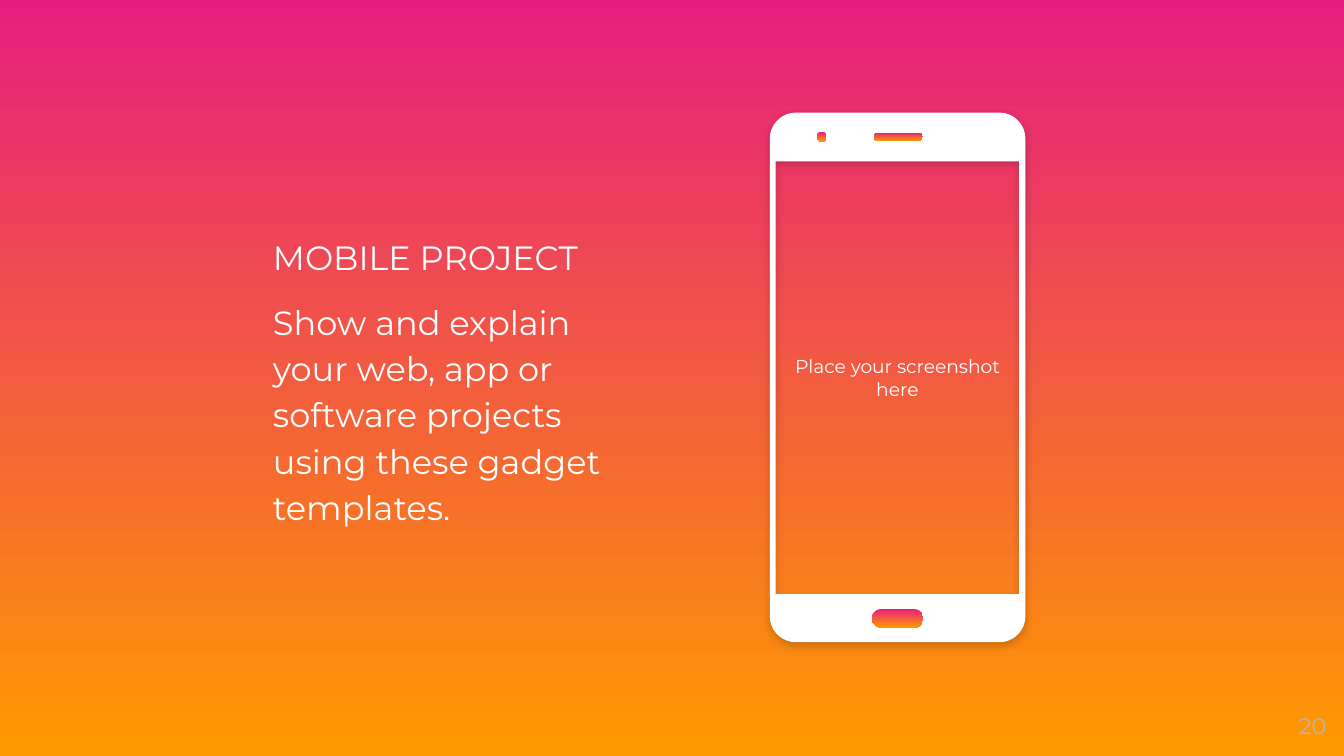
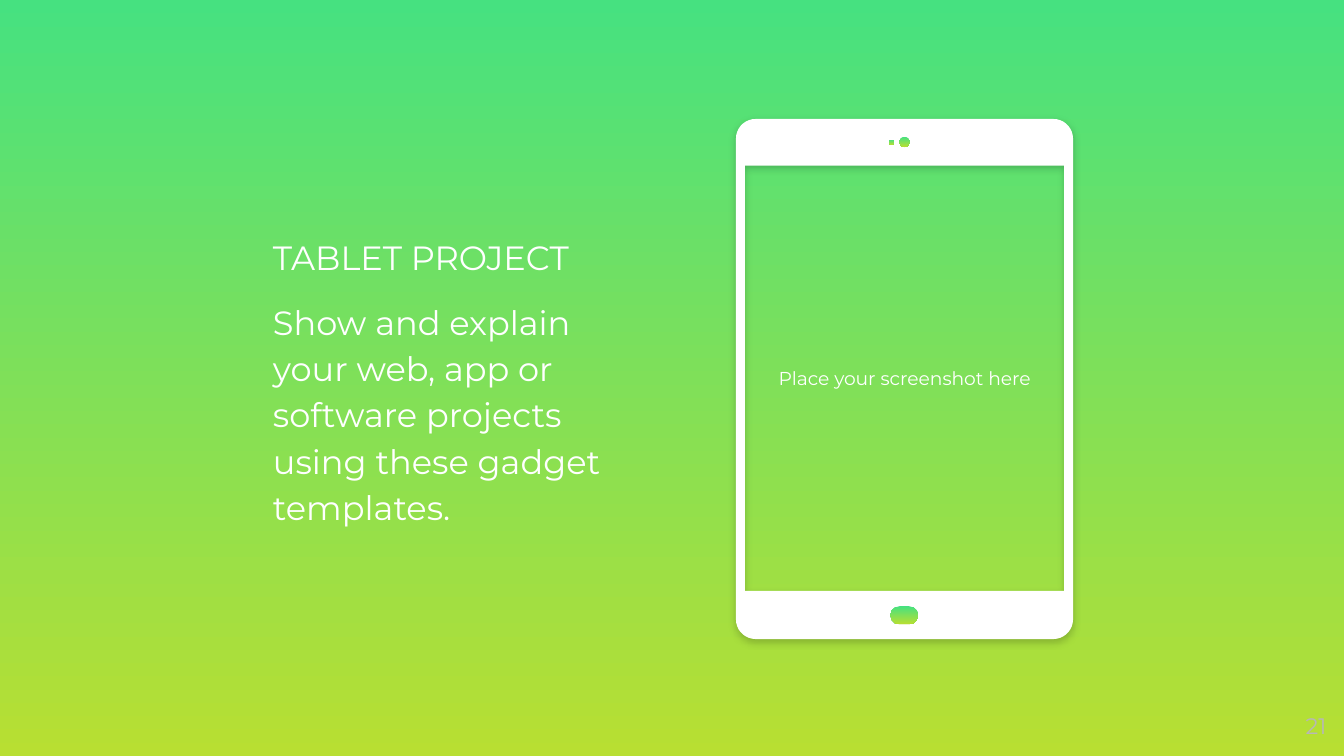
from math import cos, radians, sin

from lxml import etree
from pptx import Presentation
from pptx import util as u
from pptx.dml.color import RGBColor
from pptx.enum import shapes, text
from pptx.oxml import ns

FONT = "Montserrat"
WHITE, GREY = "FFFFFF", "B7B7B7"
PITCH = "Show and explain your web, app or software projects using these gadget templates."
SHADOW = (
    f'<a:outerShdw {ns.nsdecls("a")} blurRad="57150" dist="19050" dir="5400000" '
    'algn="bl" rotWithShape="0"><a:srgbClr val="000000"><a:alpha val="20000"/>'
    "</a:srgbClr></a:outerShdw>"
)

# Boxes are left, top, width, height in cm.
PITCH_BOX = (5.16, 1.35, 6.96, 11.63)
NUMBER_BOX = (23.55, 13.18, 1.52, 1.09)
GADGETS = [
    {
        "title": "MOBILE PROJECT", "number": "20", "gradient": ("E61E7F", "FF9900"),
        "body": (14.55, 2.13, 4.83, 10.01), "radius": 0.49,
        "screen": (14.66, 3.05, 4.6, 8.18),
        # home button, camera, speaker
        "details": [(16.48, 11.51, 0.97, 0.36), (15.44, 2.49, 0.18, 0.19),
                    (16.51, 2.51, 0.93, 0.15)],
    },
    {
        "title": "TABLET PROJECT", "number": "21", "gradient": ("46E180", "B8DF32"),
        "body": (13.91, 2.25, 6.37, 9.83), "radius": 0.37,
        "screen": (14.08, 3.13, 6.03, 8.04),
        # home button, sensor, camera
        "details": [(16.83, 11.46, 0.52, 0.34), (16.8, 2.64, 0.1, 0.1),
                    (17.0, 2.59, 0.19, 0.19)],
    },
]


def fade(fill, colours):
    """Fill with a gradient that runs from top to bottom."""
    fill.gradient()
    fill.gradient_angle = 270
    for stop, colour in zip(fill.gradient_stops, colours):
        stop.color.rgb = RGBColor.from_string(colour)


def add_text(slide, box, lines, size, colour=WHITE, align=text.PP_ALIGN.LEFT, inset=0):
    """Add a middle-anchored text box and return its paragraphs."""
    frame = slide.shapes.add_textbox(*map(u.Cm, box)).text_frame
    frame.word_wrap = True
    frame.vertical_anchor = text.MSO_ANCHOR.MIDDLE
    frame.margin_left = frame.margin_right = u.Cm(inset)
    frame.margin_top = frame.margin_bottom = u.Cm(inset)
    for index, line in enumerate(lines):
        paragraph = frame.add_paragraph() if index else frame.paragraphs[0]
        paragraph.alignment = align
        run = paragraph.add_run()
        run.text = line
        run.font.name = FONT
        run.font.size = u.Pt(size)
        run.font.color.rgb = RGBColor.from_string(colour)
    return frame.paragraphs


prs = Presentation()
prs.slide_width, prs.slide_height = u.Cm(25.4), u.Cm(14.29)

for gadget in GADGETS:
    slide = prs.slides.add_slide(prs.slide_layouts[6])
    fade(slide.background.fill, gadget["gradient"])

    heading, pitch = add_text(slide, PITCH_BOX, [gadget["title"], PITCH], 18)
    heading.line_spacing = pitch.line_spacing = 1.15
    heading.space_before = u.Pt(6)
    pitch.space_before = pitch.space_after = u.Pt(10)

    add_text(slide, gadget["screen"], ["Place your screenshot here"], 10,
             align=text.PP_ALIGN.CENTER, inset=0.25)
    add_text(slide, NUMBER_BOX, [gadget["number"]], 12, GREY, text.PP_ALIGN.RIGHT)

    # Rounded body, clockwise from the left end of the top-left corner
    left, top, width, height = gadget["body"]
    radius = gadget["radius"]
    near_x, far_x = left + radius, left + width - radius
    near_y, far_y = top + radius, top + height - radius
    corners = [(near_x, near_y, 180), (far_x, near_y, 270),
               (far_x, far_y, 0), (near_x, far_y, 90)]
    outline = [
        (u.Cm(x + radius * cos(radians(start + step))),
         u.Cm(y + radius * sin(radians(start + step))))
        for x, y, start in corners for step in range(0, 91, 10)
    ]
    left, top, width, height = map(u.Cm, gadget["screen"])
    right, bottom = left + width, top + height

    device = slide.shapes.add_group_shape()
    builder = device.shapes.build_freeform(right, top)
    builder.add_line_segments([(right, bottom), (left, bottom), (left, top)])
    builder.move_to(*outline[0])
    builder.add_line_segments(outline[1:])
    body = builder.convert_to_shape()
    body.fill.solid()
    body.fill.fore_color.rgb = RGBColor.from_string(WHITE)
    body.line.fill.background()
    body.shadow.inherit = False
    effects = body.element.spPr.find(ns.qn("a:effectLst"))
    effects.append(etree.fromstring(SHADOW))

    for box in gadget["details"]:
        detail = device.shapes.add_shape(
            shapes.MSO_SHAPE.ROUNDED_RECTANGLE, *map(u.Cm, box))
        detail.adjustments[0] = 0.5
        fade(detail.fill, gadget["gradient"])
        detail.line.fill.background()
        detail.shadow.inherit = False

prs.save("out.pptx")
